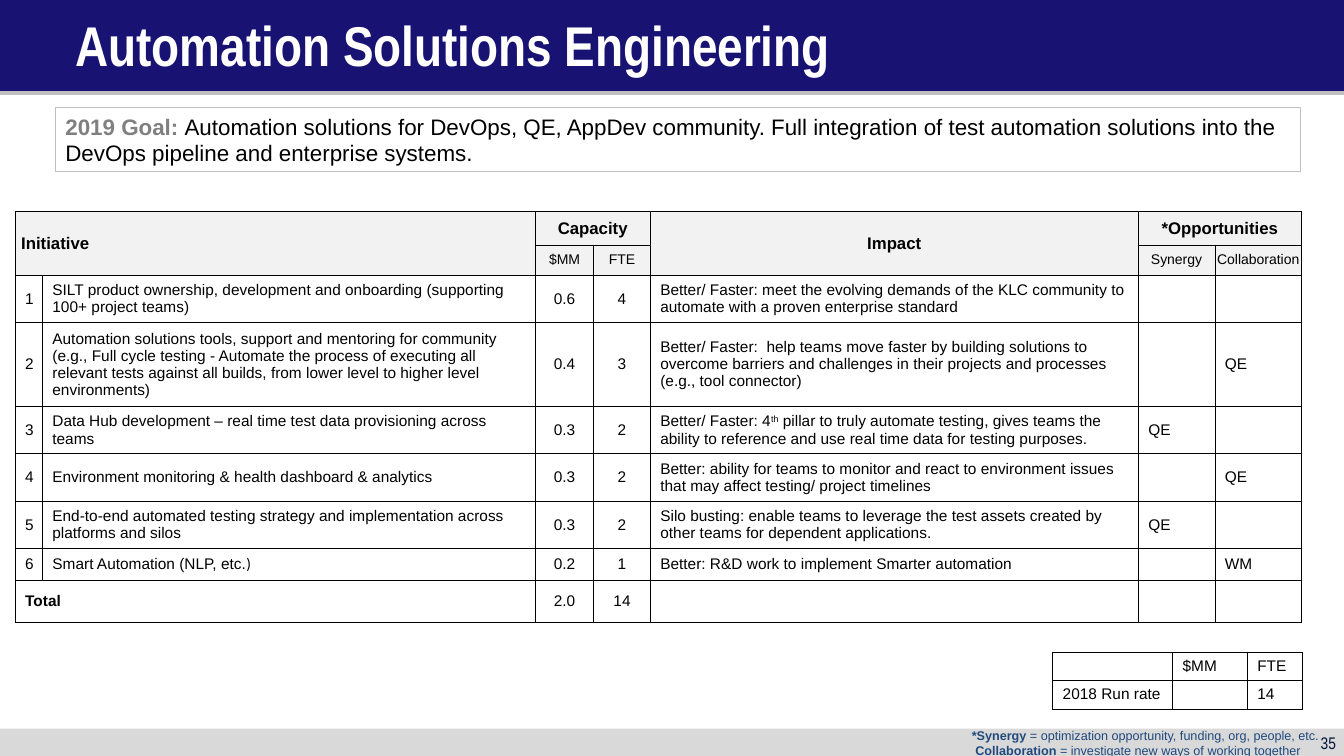
from lxml.etree import SubElement
from pptx import Presentation
from pptx.dml.color import RGBColor as Rgb
from pptx.enum.shapes import MSO_CONNECTOR as Link, MSO_SHAPE as Kind
from pptx.enum.text import MSO_ANCHOR as Anchor, PP_ALIGN as Align
from pptx.oxml.ns import qn
from pptx.util import Inches, Pt

INK = {"navy": "181273", "band": "D9D9D9", "rule": "BFBFBF", "head": "F2F2F2",
       "white": "FFFFFF", "black": "000000", "gray": "808080",
       "page": "00133A", "note": "1F497D"}

TASKS = [
    ("SILT product ownership, development and onboarding (supporting 100+ project teams)",
     "0.6", "4",
     "Better/ Faster: meet the evolving demands of the KLC community to automate with a "
     "proven enterprise standard", "", ""),
    ("Automation solutions tools, support and mentoring for community (e.g., Full cycle "
     "testing - Automate the process of executing all relevant tests against all builds, "
     "from lower level to higher level environments)", "0.4", "3",
     "Better/ Faster:  help teams move faster by building solutions to overcome barriers "
     "and challenges in their projects and processes (e.g., tool connector)", "", "QE"),
    ("Data Hub development – real time test data provisioning across teams", "0.3", "2",
     [("Better/ Faster: 4", {}), ("th", {"sup": True}),
      (" pillar to truly automate testing, gives teams the ability to reference and use "
       "real time data for testing purposes.", {})], "QE", ""),
    ("Environment monitoring & health dashboard & analytics", "0.3", "2",
     "Better: ability for teams to monitor and react to environment issues that may "
     "affect testing/ project timelines", "", "QE"),
    ("End-to-end automated testing strategy and implementation across platforms and silos",
     "0.3", "2",
     "Silo busting: enable teams to leverage the test assets created by other teams for "
     "dependent applications.", "QE", ""),
    ([("Smart Automation (NLP, etc.", {}), (")", {"face": "Calibri"})], "0.2", "1",
     "Better: R&D work to implement Smarter automation", "", "WM"),
]


def color(name):
    """Return a palette colour."""
    return Rgb.from_string(INK[name])


def write(para, text, size, ink="black", bold=False, face="Arial", align=Align.LEFT):
    """Fill a paragraph from a string or a list of styled runs."""
    para.alignment = align
    font = para.font
    font.size, font.name, font.bold = Pt(size), face, bold
    font.color.rgb = color(ink)
    if not text:
        SubElement(para._p, qn("a:endParaRPr"), sz=str(size * 100))
        return
    for part, style in [(text, {})] if isinstance(text, str) else text:
        run = para.add_run()
        run.text = part
        if "bold" in style:
            run.font.bold = style["bold"]
        if "ink" in style:
            run.font.color.rgb = color(style["ink"])
        if "face" in style:
            run.font.name = style["face"]
        if "sup" in style:
            run._r.get_or_add_rPr().set("baseline", "30000")


def add_box(slide, left, top, width, height, fill=None, line=None):
    """Add a flat rectangle."""
    box = slide.shapes.add_shape(Kind.RECTANGLE, Inches(left), Inches(top),
                                 Inches(width), Inches(height))
    box.shadow.inherit = False
    if fill:
        box.fill.solid()
        box.fill.fore_color.rgb = color(fill)
    else:
        box.fill.background()
    if line:
        box.line.color.rgb = color(line)
        box.line.width = Pt(0.75)
    else:
        box.line.fill.background()
    return box


def add_rule(slide, left, top, right):
    """Add the thick line below the title band."""
    rule = slide.shapes.add_connector(Link.STRAIGHT, Inches(left), Inches(top),
                                      Inches(right), Inches(top))
    rule.line.color.rgb = color("rule")
    rule.line.width = Pt(3)
    SubElement(rule._element.spPr, qn("a:effectLst"))


def add_text(slide, left, top, width, height, lines, size, wrap=True, **look):
    """Add a text box with one paragraph per line."""
    box = slide.shapes.add_textbox(Inches(left), Inches(top), Inches(width), Inches(height))
    frame = box.text_frame
    frame.word_wrap = wrap
    if wrap:
        frame.vertical_anchor = Anchor.MIDDLE
        frame.margin_left = frame.margin_right = Inches(0.08)
        frame.margin_top = frame.margin_bottom = Inches(0.04)
    for num, line in enumerate(lines):
        para = frame.add_paragraph() if num else frame.paragraphs[0]
        write(para, line, size, **look)


def add_grid(slide, left, top, cols, rows):
    """Add a plain table with thin black borders."""
    grid = slide.shapes.add_table(len(rows), len(cols), Inches(left), Inches(top),
                                  Inches(sum(cols)), Inches(sum(rows))).table
    grid.first_row = grid.horz_banding = False
    for col, width in zip(grid.columns, cols):
        col.width = Inches(width)
    for row, height in zip(grid.rows, rows):
        row.height = Inches(height)
    for cell in grid.iter_cells():
        props = cell._tc.get_or_add_tcPr()
        for side in ("lnL", "lnR", "lnT", "lnB"):
            edge = SubElement(props, qn("a:" + side), w=str(Pt(0.5)))
            solid = SubElement(edge, qn("a:solidFill"))
            SubElement(solid, qn("a:srgbClr"), val=INK["black"])
    return grid


def put(cell, text, size=11, fill=None, pad=None, anchor=Anchor.MIDDLE, **look):
    """Set the text and look of one cell."""
    cell.vertical_anchor = anchor
    if pad:
        cell.margin_left, cell.margin_top, cell.margin_right, cell.margin_bottom = map(Inches, pad)
    if fill:
        cell.fill.solid()
        cell.fill.fore_color.rgb = color(fill)
    else:
        cell.fill.background()
    write(cell.text_frame.paragraphs[0], text, size, **look)


def add_plan(slide):
    """Add the table of initiatives."""
    grid = add_grid(slide, 0.15, 2.1, [0.27, 4.89, 0.58, 0.56, 4.84, 0.76, 0.86],
                    [0.33, 0.29, 0.44, 0.81, 0.47, 0.47, 0.47, 0.32, 0.41])
    spans = [(0, 0, 1, 1), (0, 2, 0, 3), (0, 4, 1, 4), (0, 5, 0, 6), (8, 0, 8, 1)]
    for row, col, end, last in spans:
        grid.cell(row, col).merge(grid.cell(end, last))
    heads = ["Initiative", "", "Capacity", "", "Impact", "*Opportunities", ""]
    units = ["", "", "$MM", "FTE", "", "Synergy", "Collaboration"]
    for col, (head, unit) in enumerate(zip(heads, units)):
        first = col == 0
        put(grid.cell(0, col), head, 12, "head", (0.06, 0.05, 0, 0.05) if first else None,
            bold=True, align=Align.LEFT if first else Align.CENTER)
        put(grid.cell(1, col), unit, 10, "head", (0, 0, 0, 0), align=Align.CENTER)
    body = [(str(num), *task) for num, task in enumerate(TASKS, 1)]
    body.append(("Total", "", "2.0", "14", "", "", ""))
    for row, line in enumerate(body, 2):
        for col, text in enumerate(line):
            total = text == "Total"
            mid = col in (0, 2, 3) and not total
            put(grid.cell(row, col), text, bold=total, align=Align.CENTER if mid else Align.LEFT)


def add_rate(slide):
    """Add the small run rate table."""
    grid = add_grid(slide, 10.44, 6.47, [1.19, 0.74, 0.55], [0.27, 0.27])
    for row, line in enumerate([("", "$MM", "FTE"), ("2018 Run rate", "", "14")]):
        for col, text in enumerate(line):
            put(grid.cell(row, col), text, anchor=Anchor.TOP)


def main():
    """Build the slide."""
    deck = Presentation()
    deck.slide_width, deck.slide_height = Inches(13.33), Inches(7.5)
    slide = deck.slides.add_slide(deck.slide_layouts[6])
    add_box(slide, 0, 0, 13.33, 0.92, "navy")
    add_box(slide, 0, 7.23, 13.33, 0.27, "band")
    add_rule(slide, -0.01, 0.92, 13.34)
    add_text(slide, 0.67, 0.2, 12, 0.48, ["Automation Solutions Engineering"], 40,
             ink="white", bold=True, face="Arial Narrow")
    add_text(slide, 10.22, 7.23, 3.11, 0.27, ["35"], 12, ink="page",
             face="Arial Narrow", align=Align.RIGHT)
    goal = add_box(slide, 0.55, 1.07, 12.35, 0.63, line="rule")
    write(goal.text_frame.paragraphs[0], [
        ("2019 Goal: ", {"bold": True, "ink": "gray"}),
        ("Automation solutions for DevOps, QE, AppDev community. Full integration of test "
         "automation solutions into the DevOps pipeline and enterprise systems.",
         {"ink": "black"})], 16)
    add_rate(slide)
    add_plan(slide)
    add_text(slide, 9.54, 7.17, 3.68, 0.4, [
        [("*Synergy", {"bold": True}),
         (" = optimization opportunity, funding, org, people, etc.", {})],
        [(" Collaboration", {"bold": True}),
         (" = investigate new ways of working together", {})]], 9, wrap=False, ink="note")
    deck.save("out.pptx")


if __name__ == "__main__":
    main()
